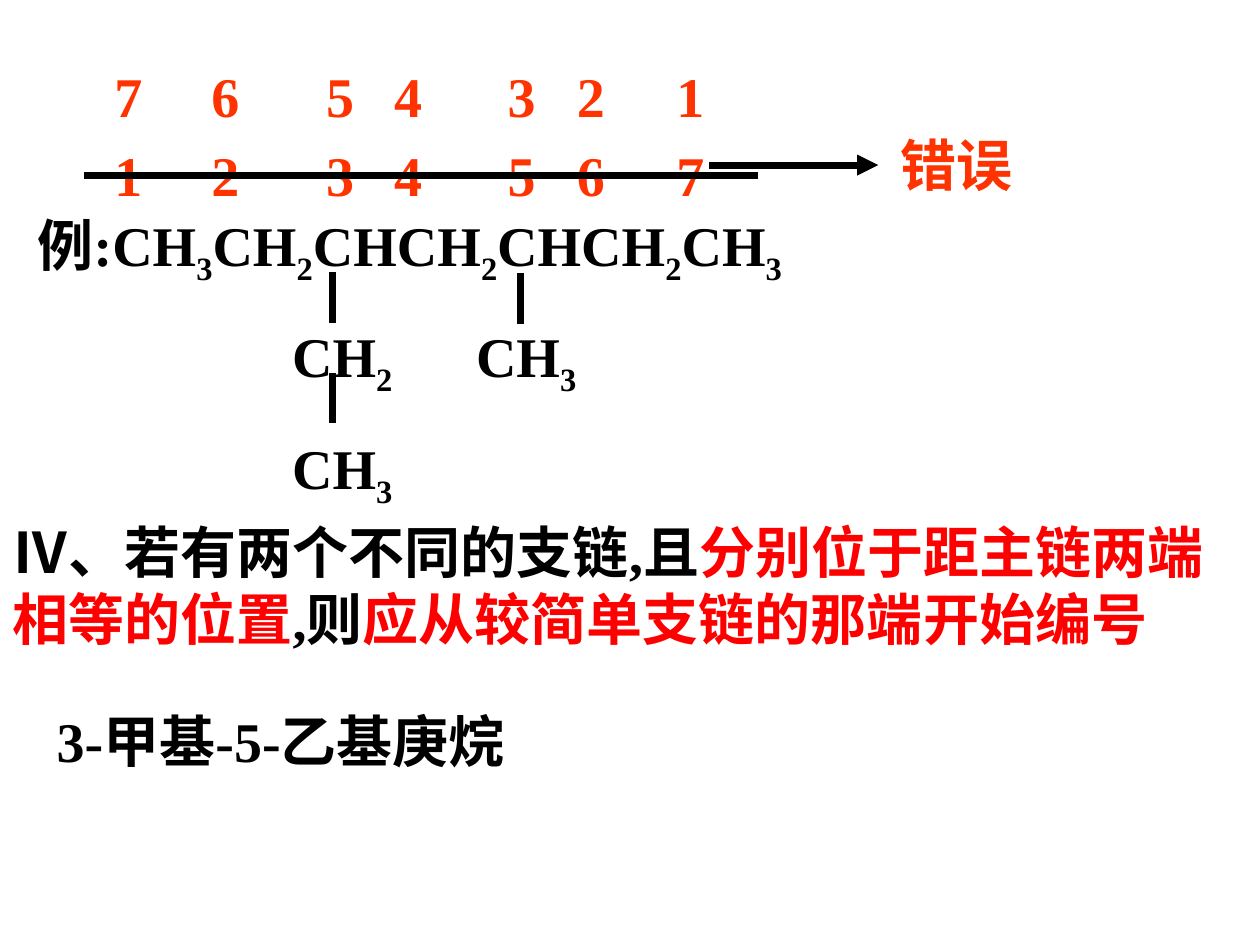
import dataclasses
import pptx
import pptx.util
import pptx.dml.color
import pptx.enum.shapes
import pptx.enum.text
import pptx.oxml
import pptx.oxml.ns

Inches = pptx.util.Inches
Pt = pptx.util.Pt


@dataclasses.dataclass(frozen=True)
class Theme:
    ink: str = "000000"
    mark: str = "FF3300"
    red: str = "FF0000"
    roman: str = "Times New Roman"
    han: str = "Noto Sans CJK SC"
    size: int = 32
    gap: int = 20
    line: int = 4


THEME = Theme()
STOPS = (0.61, 1.38, 2.29, 2.83, 3.73, 4.28, 5.07)
CHAIN = (2.02, 3.48)


def add_node(parent, tag, **attrs):
    node = pptx.oxml.parse_xml(
        f'<a:{tag} xmlns:a="http://schemas.openxmlformats.org/drawingml/2006/main"/>')
    for name, value in attrs.items():
        node.set(name, str(value))
    parent.append(node)
    return node


def set_tabs(para, stops):
    tabs = add_node(para._p.get_or_add_pPr(), "tabLst")
    for stop in stops:
        add_node(tabs, "tab", pos=int(Inches(stop)), algn="l")


def add_run(para, text, color=THEME.ink, face=THEME.roman, sub=False):
    run = para.add_run()
    run.text = text
    font = run.font
    font.size, font.bold, font.name = Pt(THEME.size), True, face
    font.color.rgb = pptx.dml.color.RGBColor.from_string(color)
    if sub:
        run._r.get_or_add_rPr().set("baseline", "-25000")


def add_text(shapes, box):
    frame = shapes.add_textbox(*map(Inches, box)).text_frame
    frame.word_wrap = True
    frame.auto_size = pptx.enum.text.MSO_AUTO_SIZE.SHAPE_TO_FIT_TEXT
    return frame


def add_line(shapes, x1, y1, x2, y2, arrow=False):
    line = shapes.add_connector(
        pptx.enum.shapes.MSO_CONNECTOR.STRAIGHT,
        *map(Inches, (x1, y1, x2, y2)))
    line.line.width = Pt(THEME.line)
    line.line.color.rgb = pptx.dml.color.RGBColor.from_string(THEME.ink)
    if arrow:
        add_node(line.line._get_or_add_ln(), "tailEnd", type="triangle")
    add_node(line._element.spPr, "effectLst")


def add_atoms(para, text):
    for char, sub in split_subs(text):
        add_run(para, char, sub=sub)


def split_subs(text):
    parts = []
    for char in text:
        sub = char.isdigit()
        if parts and parts[-1][1] == sub:
            parts[-1] = (parts[-1][0] + char, sub)
        else:
            parts.append((char, sub))
    return parts


def draw_chain(slide, box):
    left, top = box[:2]
    shapes = slide.shapes.add_group_shape().shapes
    frame = add_text(shapes, box)
    first = frame.paragraphs[0]
    add_run(first, "例", face=THEME.han)
    add_atoms(first, ":CH3CH2CHCH2CHCH2CH3")
    for text in ("\tCH2\tCH3", "\tCH3"):
        para = frame.add_paragraph()
        para.space_before = Pt(THEME.gap)
        set_tabs(para, CHAIN)
        add_atoms(para, text)
    for x, y in ((2.44, 0.54), (2.44, 1.34), (3.93, 0.55)):
        add_line(shapes, left + x, top + y, left + x, top + y + 0.4)


def draw_count(slide, box, digits):
    para = add_text(slide.shapes, box).paragraphs[0]
    set_tabs(para, STOPS)
    add_run(para, "".join(f"\t{digit}" for digit in digits), THEME.mark)


def draw_note(slide, box, parts):
    para = add_text(slide.shapes, box).paragraphs[0]
    for text, color in parts:
        add_run(para, text, color)


def draw_error(slide, box):
    left, top, width, height = box
    shapes = slide.shapes.add_group_shape().shapes
    add_line(shapes, left, top + 0.32, left + 1.34, top + 0.32, arrow=True)
    frame = add_text(shapes, (left + 1.42, top, width - 1.42, height))
    add_run(frame.paragraphs[0], "错误", THEME.mark, THEME.han)


def main():
    deck = pptx.Presentation()
    deck.slide_width, deck.slide_height = Inches(10), Inches(7.5)
    slide = deck.slides.add_slide(deck.slide_layouts[6])
    draw_chain(slide, (0.2, 1.62, 9.37, 3.29))
    draw_count(slide, (0.2, 1.07, 6.54, 0.64), "1234567")
    draw_count(slide, (0.2, 0.44, 6.77, 0.64), "7654321")
    draw_note(slide, (0, 4.06, 9.73, 1.7), (
        ("Ⅳ、若有两个不同的支链,且", THEME.ink),
        ("分别位于距主链两端相等的位置", THEME.red),
        (",则", THEME.ink),
        ("应从较简单支链的那端开始编号", THEME.red)))
    draw_error(slide, (5.63, 0.99, 3.39, 0.64))
    draw_note(slide, (0.35, 5.56, 8.51, 0.64),
              (("3-甲基-5-乙基庚烷", THEME.ink),))
    add_line(slide.shapes, 0.67, 1.39, 6.02, 1.39)
    deck.save("out.pptx")


if __name__ == "__main__":
    main()
